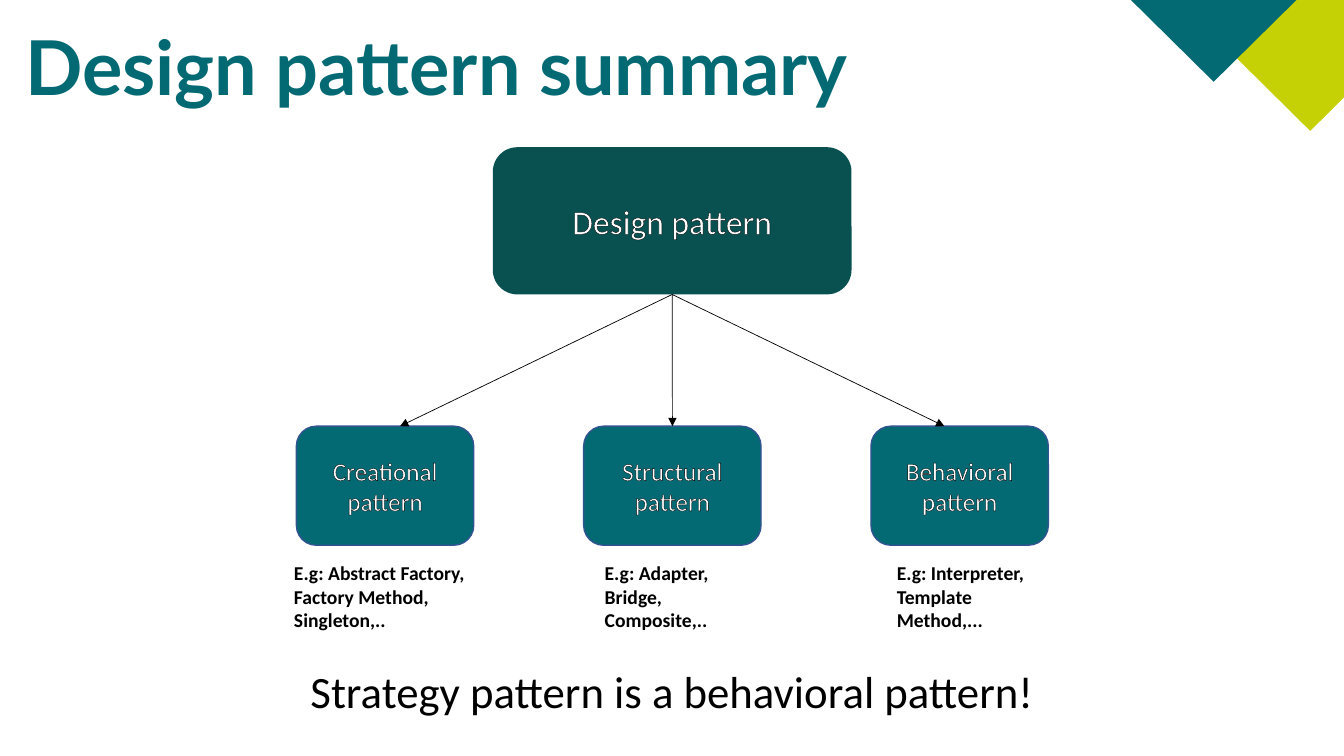
import pptx
import pptx.util
import pptx.dml.color
import pptx.enum.shapes
import pptx.enum.text
import pptx.oxml
import pptx.oxml.ns
from pptx.util import Cm

KIND = pptx.enum.shapes.MSO_SHAPE
ALIGN = pptx.enum.text.PP_ALIGN
ANCHOR = pptx.enum.text.MSO_ANCHOR
FIT = pptx.enum.text.MSO_AUTO_SIZE
NS = pptx.oxml.ns.nsdecls("a")
TEAL, DARK, LIME = "036973", "095151", "C5D105"
color = pptx.dml.color.RGBColor.from_string


def draw(kind, left, top, width, height, fill, edge=None):
    shape = slide.shapes.add_shape(kind, Cm(left), Cm(top), Cm(width), Cm(height))
    shape.shadow.inherit = False
    shape.fill.solid()
    shape.fill.fore_color.rgb = color(fill)
    if edge:
        shape.line.color.rgb = color(edge)
        shape.line.width = pptx.util.Pt(1)
    else:
        shape.line.fill.background()
    return shape


def write(shape, text, size, ink, face="Calibri", bold=False,
          align=ALIGN.LEFT, anchor=ANCHOR.TOP, fit=FIT.SHAPE_TO_FIT_TEXT, outline=False):
    frame = shape.text_frame
    frame.word_wrap = True
    frame.auto_size = fit
    frame.vertical_anchor = anchor
    para = frame.paragraphs[0]
    para.alignment = align
    run = para.add_run()
    run.text = text
    run.font.size = pptx.util.Pt(size)
    run.font.name = face
    run.font.bold = bold
    run.font.color.rgb = color(ink)
    if outline:
        run._r.get_or_add_rPr().insert(0, pptx.oxml.parse_xml(
            f'<a:ln {NS} w="9525"><a:solidFill><a:srgbClr val="000000"/></a:solidFill></a:ln>'))


deck = pptx.Presentation()
deck.slide_width = Cm(33.87)
deck.slide_height = Cm(19.05)
slide = deck.slides.add_slide(deck.slide_layouts[5])

draw(KIND.DIAMOND, 30.48, -1.73, 5.08, 5.03, LIME)
corner = draw(KIND.ISOSCELES_TRIANGLE, 28.5, 0, 4.17, 2.06, TEAL)
corner.rotation = 180

title = slide.shapes.title
title.left, title.top, title.width, title.height = Cm(0.38), Cm(0.38), Cm(24.64), Cm(2.57)
write(title, "Design pattern summary", 54, TEAL, "Lato", True, fit=FIT.NONE)

label = dict(align=ALIGN.CENTER, anchor=ANCHOR.MIDDLE, fit=FIT.NONE, outline=True)
root = draw(KIND.ROUNDED_RECTANGLE, 12.42, 3.71, 9.04, 3.71, DARK)
write(root, "Design pattern", 24, "FFFFFF", **label)

groups = [
    ("Creational pattern", "E.g: Abstract Factory, Factory Method, Singleton,..", 7.16, 5.84),
    ("Structural pattern", "E.g: Adapter, Bridge, Composite,..", 14.99, 3.94),
    ("Behavioral pattern", "E.g: Interpreter, Template Method,...", 22.35, 3.94),
]
for i, (name, sample, left, width) in enumerate(groups):
    box = draw(KIND.ROUNDED_RECTANGLE, 7.47 + 7.24 * i, 10.74, 4.47, 3, TEAL, "325491")
    write(box, name, 18, "FFFFFF", **label)

    note = slide.shapes.add_textbox(Cm(left), Cm(14.02), Cm(width), Cm(2.06))
    write(note, sample, 14, "000000", bold=True)

    arrow = slide.shapes.add_connector(
        pptx.enum.shapes.MSO_CONNECTOR.STRAIGHT,
        Cm(16.94), Cm(7.42), Cm(16.94 + 6.86 * (i - 1)), Cm(10.74))
    arrow.begin_connect(root, 2)
    if i == 1:
        arrow.end_connect(box, 0)
    arrow.line.color.rgb = color("000000")
    arrow.line.width = pptx.util.Pt(0.5)
    props = arrow.element.spPr
    props.find(pptx.oxml.ns.qn("a:ln")).append(
        pptx.oxml.parse_xml(f'<a:tailEnd {NS} type="triangle"/>'))
    props.append(pptx.oxml.parse_xml(f"<a:effectLst {NS}/>"))

closing = slide.shapes.add_textbox(Cm(4.01), Cm(16.61), Cm(25.86), Cm(1.63))
write(closing, "Strategy pattern is a behavioral pattern!", 32, "000000", align=ALIGN.CENTER)

deck.save("out.pptx")
